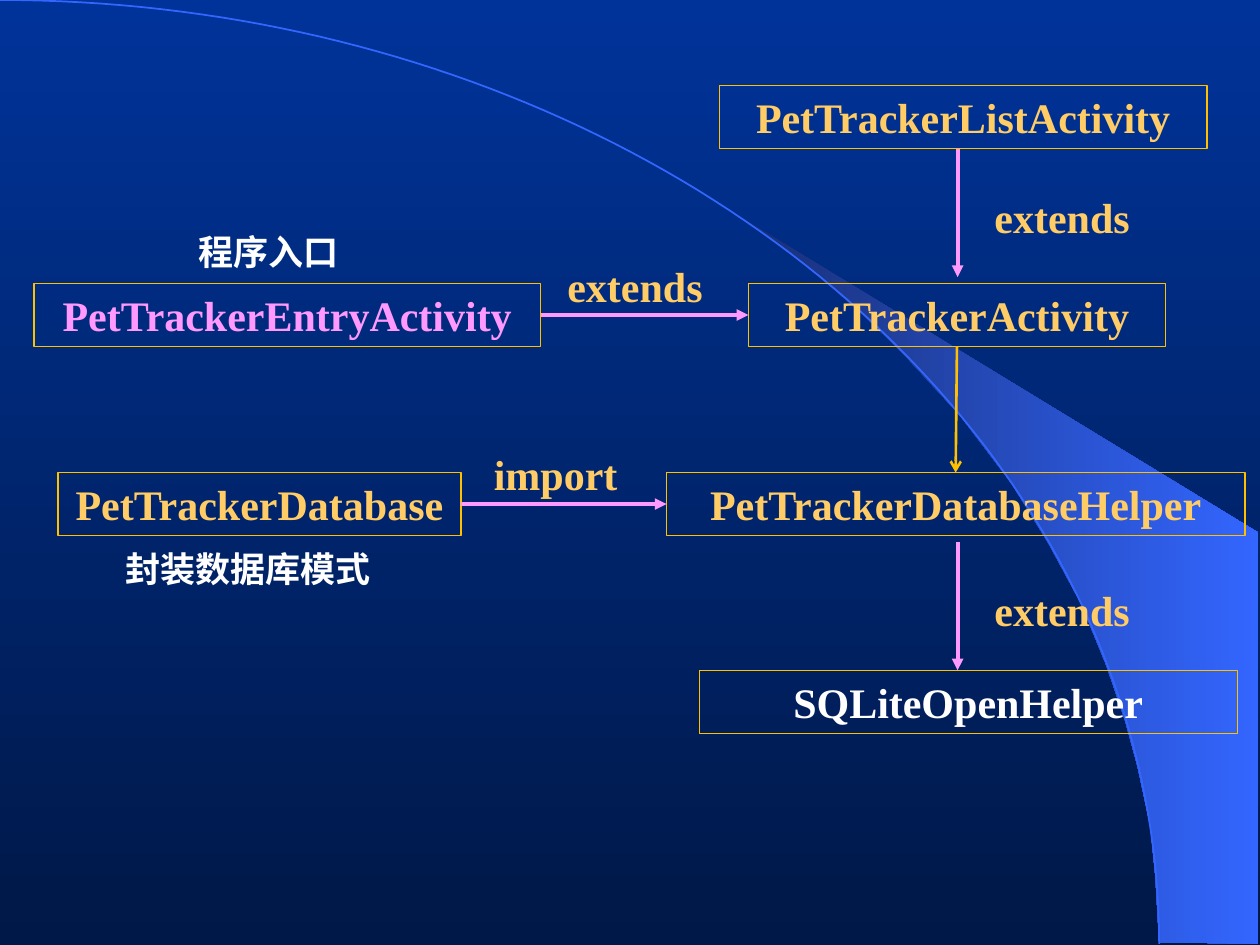
from math import cos, pi, sin

from lxml.etree import SubElement
from pptx import Presentation
from pptx.dml.color import RGBColor
from pptx.enum.shapes import MSO_CONNECTOR, MSO_SHAPE
from pptx.enum.text import MSO_ANCHOR, PP_ALIGN
from pptx.oxml.ns import qn
from pptx.util import Pt

PX = 9144  # EMU per px, 100 px to the inch
NAVY = RGBColor(0x00, 0x18, 0x47)
ROYAL = RGBColor(0x00, 0x33, 0x99)
DUSK = RGBColor(0x18, 0x2F, 0x76)
BLUE = RGBColor(0x33, 0x66, 0xFF)
GOLD = RGBColor(0xFF, 0xC0, 0x00)
SAND = RGBColor(0xFF, 0xCC, 0x66)
PINK = RGBColor(0xFF, 0x99, 0xFF)
WHITE = RGBColor(0xFF, 0xFF, 0xFF)

TOP, LEFT, BOTTOM, RIGHT = range(4)
BOX_HEIGHT = 50
AXIS = 760  # x of the vertical arrows

BEAM = [(920, 748), (999, 749), (999, 423), (589, 173), (624, 199), (653, 222),
        (685, 250), (716, 280), (762, 330), (803, 384), (832, 431), (858, 479),
        (878, 528), (893, 572), (903, 609), (913, 656), (917, 696)]


def quarter_arc(width, height, steps=90):
    angles = [pi / 2 * step / steps for step in range(steps + 1)]
    return [(width * sin(a), height * (1 - cos(a))) for a in angles]


class Diagram:
    font = {"name": "Times New Roman", "bold": True}

    def __init__(self, slide):
        self.slide = slide
        self.shapes = slide.shapes

    def gradient(self, fill, colors, angle):
        fill.gradient()
        fill.gradient_angle = angle
        for position, (stop, color) in enumerate(zip(fill.gradient_stops, colors)):
            stop.color.rgb = color
            stop.position = position

    def outline(self, points, closed):
        corners = [(round(x * PX), round(y * PX)) for x, y in points]
        builder = self.shapes.build_freeform(*corners[0])
        builder.add_line_segments(corners[1:], close=closed)
        outline = builder.convert_to_shape()
        outline.shadow.inherit = False
        return outline

    def beam(self, points, colors):
        beam = self.outline(points, True)
        self.gradient(beam.fill, colors, 0)
        beam.line.fill.background()

    def arc(self, width, height, color):
        arc = self.outline(quarter_arc(width, height), False)
        arc.fill.background()
        self.stroke(arc.line, color, 1)

    def stroke(self, line, color, points):
        line.color.rgb = color
        line.width = Pt(points)

    def set_text(self, holder, text, color, size):
        frame = holder.text_frame
        frame.word_wrap = True
        frame.vertical_anchor = MSO_ANCHOR.TOP
        paragraph = frame.paragraphs[0]
        paragraph.alignment = PP_ALIGN.CENTER
        run = paragraph.add_run()
        run.text = text
        for key, value in {**self.font, "size": Pt(size)}.items():
            setattr(run.font, key, value)
        run.font.color.rgb = color

    def class_box(self, text, left, top, width, color=SAND):
        box = self.shapes.add_shape(
            MSO_SHAPE.RECTANGLE, left * PX, top * PX, width * PX, BOX_HEIGHT * PX)
        box.shadow.inherit = False
        box.fill.background()
        self.stroke(box.line, GOLD, 0.75)
        self.set_text(box, text, color, 24)
        return box

    def label(self, text, left, top, width=150, height=50, color=SAND, size=24):
        label = self.shapes.add_textbox(left * PX, top * PX, width * PX, height * PX)
        self.set_text(label, text, color, size)

    def note(self, text, left, top):
        self.label(text, left, top, 260, 44, WHITE, 20)

    def arrow(self, ends=(0, 0, 0, 0), color=PINK, points=2.25, head="triangle"):
        arrow = self.shapes.add_connector(
            MSO_CONNECTOR.STRAIGHT, *(end * PX for end in ends))
        self.stroke(arrow.line, color, points)
        properties = arrow.element.spPr
        SubElement(properties.find(qn("a:ln")), qn("a:tailEnd"), type=head)
        SubElement(properties, qn("a:effectLst"))
        return arrow

    def join(self, source, source_side, target, target_side, **style):
        arrow = self.arrow(**style)
        arrow.begin_connect(source, source_side)
        arrow.end_connect(target, target_side)


def main():
    deck = Presentation()
    deck.slide_width, deck.slide_height = 1000 * PX, 750 * PX
    diagram = Diagram(deck.slides.add_slide(deck.slide_layouts[6]))

    diagram.gradient(diagram.slide.background.fill, (ROYAL, NAVY), 270)
    diagram.beam(BEAM, (DUSK, BLUE))
    diagram.arc(920, 749, BLUE)

    diagram.class_box("PetTrackerListActivity", 571, 68, 387)
    entry = diagram.class_box("PetTrackerEntryActivity", 27, 225, 402, PINK)
    activity = diagram.class_box("PetTrackerActivity", 594, 225, 331)
    database = diagram.class_box("PetTrackerDatabase", 46, 375, 320)
    helper = diagram.class_box("PetTrackerDatabaseHelper", 529, 375, 459)
    diagram.class_box("SQLiteOpenHelper", 555, 532, 427, WHITE)

    diagram.join(entry, RIGHT, activity, LEFT)
    diagram.join(database, RIGHT, helper, LEFT)
    diagram.join(activity, BOTTOM, helper, TOP, color=GOLD, points=1.5, head="arrow")
    for start in (118, 430):
        diagram.arrow((AXIS, start, AXIS, start + 102))
        diagram.label("extends", AXIS + 8, start + 29)

    diagram.label("extends", 429, 202)
    diagram.label("import", 366, 351)
    diagram.note("程序入口", 83, 178)
    diagram.note("封装数据库模式", 67, 430)

    deck.save("out.pptx")


if __name__ == "__main__":
    main()
